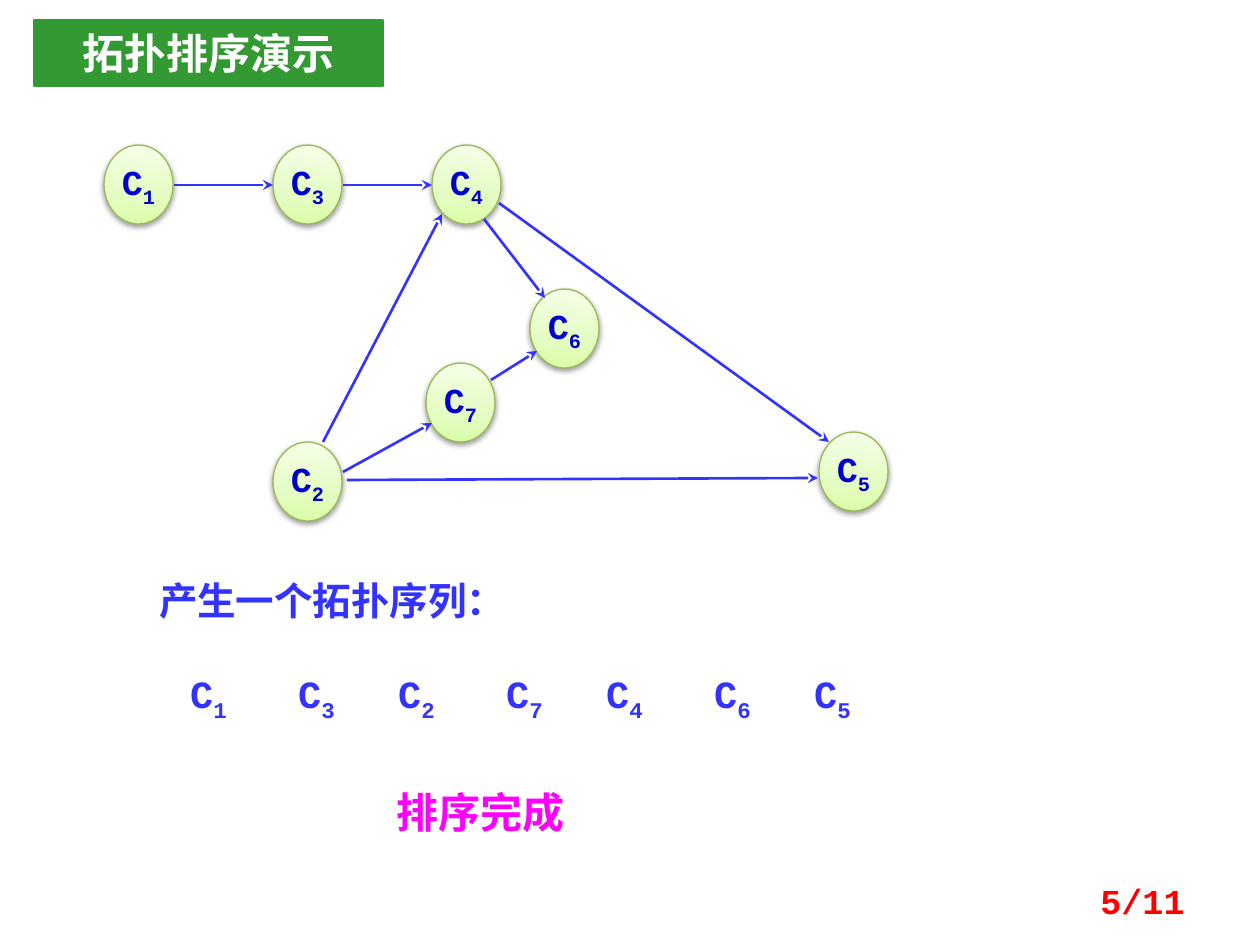
from copy import deepcopy

from lxml.etree import SubElement
from pptx import Presentation
from pptx.dml.color import RGBColor
from pptx.enum.shapes import MSO_CONNECTOR, MSO_SHAPE
from pptx.enum.text import MSO_ANCHOR, PP_ALIGN
from pptx.oxml.ns import qn
from pptx.util import Pt

PX = 914400 / 126
FONT = "Courier New"
WHITE = RGBColor(0xFF, 0xFF, 0xFF)
GREEN = RGBColor(0x33, 0x99, 0x33)
BLUE = RGBColor(0x33, 0x33, 0xFF)
NAVY = RGBColor(0x00, 0x00, 0xCC)
MAGENTA = RGBColor(0xFF, 0x00, 0xFF)
RED = RGBColor(0xFF, 0x00, 0x00)
NODE_LINE = RGBColor(0x98, 0xB9, 0x55)
NODE_STOPS = [
    (0, RGBColor(0xDA, 0xFD, 0xA7)),
    (0.35, RGBColor(0xE4, 0xFC, 0xC2)),
    (1, RGBColor(0xF5, 0xFF, 0xE7)),
]
NODE_WIDTH, NODE_HEIGHT = 69, 79

NODES = {
    "1": (104, 145), "3": (273, 145), "4": (432, 145), "2": (273, 442),
    "7": (426, 363), "6": (530, 289), "5": (819, 432),
}
EDGES = [
    (174, 185, 273, 185),  # C1 to C3
    (343, 185, 432, 185),  # C3 to C4
    (323, 442, 442, 214),  # C2 to C4
    (343, 472, 432, 423),  # C2 to C7
    (491, 380, 537, 351),  # C7 to C6
    (499, 203, 829, 442),  # C4 to C5
    (347, 480, 818, 478),  # C2 to C5
    (484, 219, 545, 298),  # C4 to C6
]
TOPOLOGICAL_ORDER = "1327465"


def px(*lengths):
    return [round(length * PX) for length in lengths]


def write_text(shape, text, subscript="", size=20, color=BLUE, align=PP_ALIGN.CENTER,
               anchor=MSO_ANCHOR.MIDDLE, wrap=True, margin=None):
    frame = shape.text_frame
    frame.word_wrap = wrap
    frame.vertical_anchor = anchor
    if margin is not None:
        frame.margin_left = frame.margin_right = margin
        frame.margin_top = frame.margin_bottom = margin
    paragraph = frame.paragraphs[0]
    paragraph.alignment = align
    for part in filter(None, (text, subscript)):
        run = paragraph.add_run()
        run.text = part
        run.font.name = FONT
        run.font.size = Pt(size)
        run.font.bold = True
        run.font.color.rgb = color
    if subscript:
        run.font._element.set("baseline", "-25000")


def add_text(slide, box, text, **text_format):
    write_text(slide.shapes.add_textbox(*px(*box)), text, **text_format)


def add_title(slide, box, text):
    shape = slide.shapes.add_shape(MSO_SHAPE.RECTANGLE, *px(*box))
    shape.shadow.inherit = False
    shape.fill.solid()
    shape.fill.fore_color.rgb = GREEN
    shape.line.color.rgb = GREEN
    shape.line.width = Pt(1.5)
    write_text(shape, text, size=24, color=WHITE)


def fill_with_gradient(shape):
    """Blend the node colours from bottom to top."""
    shape.fill.gradient()
    shape.fill.gradient_angle = 90
    stop_list = shape._element.spPr.find(qn("a:gradFill")).find(qn("a:gsLst"))
    stop_list.insert(1, deepcopy(stop_list[0]))
    for stop, (position, color) in zip(shape.fill.gradient_stops, NODE_STOPS):
        stop.position = position
        stop.color.rgb = color


def add_soft_shadow(shape):
    shape.shadow.inherit = False
    effects = shape._element.spPr.find(qn("a:effectLst"))
    shadow = SubElement(effects, qn("a:outerShdw"), blurRad="40000", dist="20000",
                        dir="5400000", rotWithShape="0")
    color = SubElement(shadow, qn("a:srgbClr"), val="000000")
    SubElement(color, qn("a:alpha"), val="38000")


def add_node(slide, number, left, top):
    shape = slide.shapes.add_shape(
        MSO_SHAPE.OVAL, *px(left, top, NODE_WIDTH, NODE_HEIGHT))
    fill_with_gradient(shape)
    shape.line.color.rgb = NODE_LINE
    shape.line.width = Pt(0.75)
    add_soft_shadow(shape)
    write_text(shape, "C", subscript=number, color=NAVY, wrap=False)


def add_arrow(slide, ends):
    arrow = slide.shapes.add_connector(MSO_CONNECTOR.STRAIGHT, *px(*ends))
    arrow.line.color.rgb = BLUE
    arrow.line.width = Pt(1.5)
    SubElement(arrow.line._get_or_add_ln(), qn("a:tailEnd"), type="stealth")
    SubElement(arrow._element.spPr, qn("a:effectLst"))


def add_sequence(slide):
    """Lay out the labels in pairs, with a wider step inside each pair."""
    for index, number in enumerate(TOPOLOGICAL_ORDER):
        pair, place = divmod(index, 2)
        add_text(slide, (164 + 208 * pair + 108 * place, 670, 89, 47), "C",
                 subscript=number, size=22, anchor=MSO_ANCHOR.TOP, margin=0)


def main():
    presentation = Presentation()
    presentation.slide_width, presentation.slide_height = px(1260, 945)
    slide = presentation.slides.add_slide(presentation.slide_layouts[6])
    for number, (left, top) in NODES.items():
        add_node(slide, number, left, top)
    for ends in EDGES:
        add_arrow(slide, ends)
    add_title(slide, (34, 20, 349, 66), "拓扑排序演示")
    add_text(slide, (94, 571, 476, 59), "产生一个拓扑序列：", size=22)
    add_sequence(slide)
    add_text(slide, (362, 780, 238, 63), "排序完成", size=24, color=MAGENTA)
    add_text(slide, (903, 876, 294, 50), "5/11", color=RED, align=PP_ALIGN.RIGHT)
    presentation.save("out.pptx")


if __name__ == "__main__":
    main()
